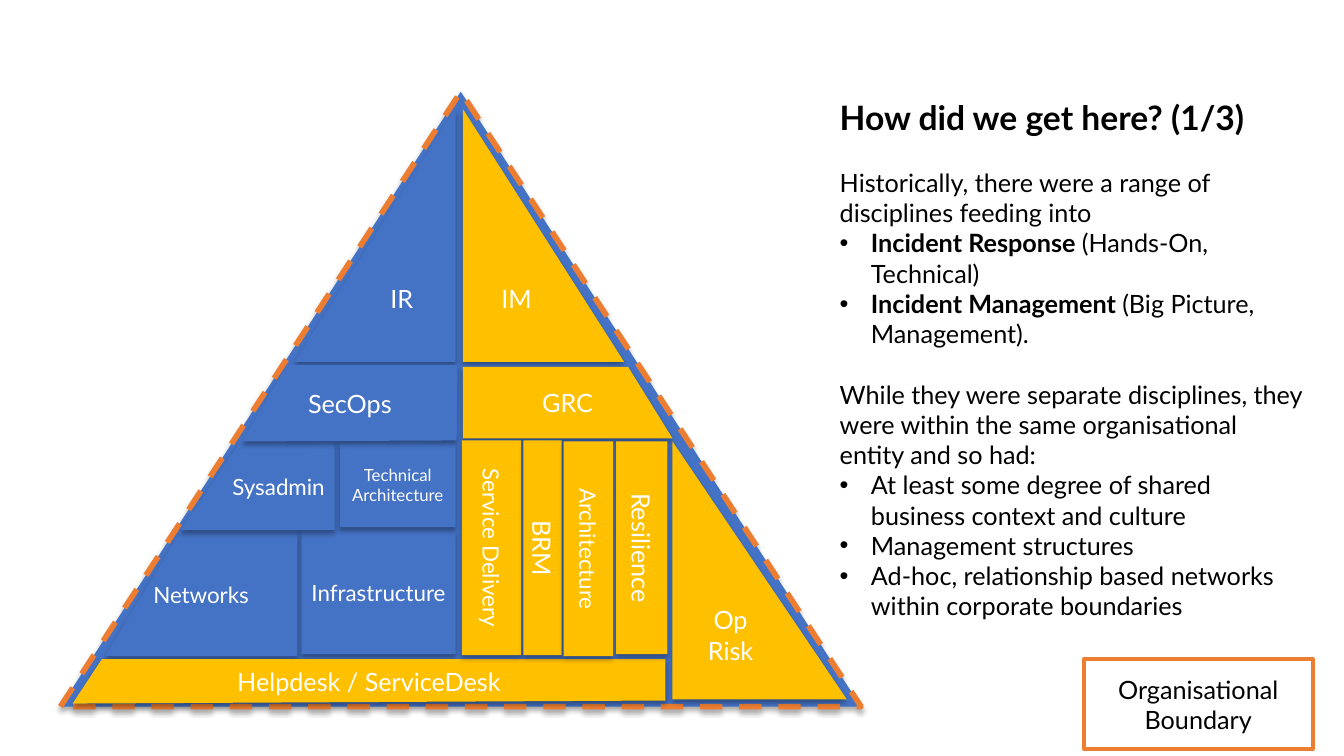
from dataclasses import dataclass, field
from typing import Any

from lxml.etree import SubElement
from pptx import Presentation
from pptx.dml.color import RGBColor
from pptx.enum.dml import MSO_LINE
from pptx.enum.shapes import MSO_SHAPE as Preset
from pptx.enum.text import MSO_ANCHOR as Anchor, MSO_AUTO_SIZE as AutoSize, PP_ALIGN as Align
from pptx.oxml.ns import qn
from pptx.util import Emu, Inches, Pt

CELL = 0.1


@dataclass(frozen=True)
class Theme:
    font: str = "Lato"
    technical: str = "4472C4"
    management: str = "FFC000"
    boundary: str = "ED7D31"
    light: str = "FFFFFF"
    dark: str = "000000"
    title: float = 24
    body: float = 18
    label: float = 16
    small: float = 12
    gap: float = 21.6


THEME = Theme()


@dataclass(frozen=True)
class Box:
    col: float
    row: float
    cols: float
    rows: float

    def emu(self) -> tuple[Emu, ...]:
        return tuple(cells(n) for n in (self.col, self.row, self.cols, self.rows))


@dataclass(frozen=True)
class Discipline:
    label: str
    fill: str
    outline: Box | tuple[tuple[float, float], ...]
    size: float = THEME.body
    preset: Preset = Preset.RECTANGLE
    align: Align = Align.CENTER
    vertical: bool = False
    mirrored: bool = False


@dataclass(frozen=True)
class Passage:
    runs: tuple[tuple[str, bool], ...]
    size: float = THEME.body
    bullet: bool = False
    layout: dict[str, Any] = field(default_factory=dict)


TECH, MGMT = THEME.technical, THEME.management
PYRAMID = Box(6, 9.1, 79.4, 61)
LEGEND = Box(107.5, 65.4, 22.7, 8.9)
STORY = Box(82.3, 9.1, 47.9, 51.2)
GAP = {"space_before": Pt(THEME.gap)}

DISCIPLINES = (
    Discipline("Op Risk", MGMT, Box(66.7, 43.8, 17.3, 25.6), preset=Preset.RIGHT_TRIANGLE),
    Discipline("Infrastructure", TECH, Box(29.9, 52.7, 15.3, 12.2), THEME.label),
    Discipline("Networks", TECH, ((17.8, 52.9), (29.5, 52.9), (29.5, 65.1), (10.4, 65.1)), THEME.label),
    Discipline("Helpdesk / ServiceDesk", MGMT, ((10.1, 65.4), (66, 65.4), (66, 69.5), (7.2, 69.8))),
    Discipline("Sysadmin", TECH, ((23.8, 43.9), (33.2, 43.9), (33.2, 52.6), (17.9, 52.6)),
               THEME.label, align=Align.RIGHT),
    Discipline("Technical\nArchitecture", TECH, Box(33.7, 43.9, 11.5, 8.4), THEME.small),
    Discipline("IR", TECH, Box(29.2, 10.8, 16, 25.1), preset=Preset.RIGHT_TRIANGLE, mirrored=True),
    Discipline("IM", MGMT, Box(45.9, 10.8, 16, 25.1), preset=Preset.RIGHT_TRIANGLE),
    Discipline("GRC", MGMT, ((45.9, 36.4), (62.3, 36.4), (66.7, 43.5), (45.9, 43.5))),
    Discipline("SecOps", TECH, ((28.5, 36.2), (45.4, 36.2), (45.3, 43.7), (24, 43.8))),
    Discipline("Resilience", MGMT, Box(61.1, 43.8, 5.1, 21.1), vertical=True),
    Discipline("Service Delivery", MGMT, Box(45.8, 43.7, 5.9, 21.3), THEME.label, vertical=True),
    Discipline("BRM", MGMT, Box(51.9, 43.7, 3.8, 21.3), vertical=True),
    Discipline("Architecture", MGMT, Box(55.9, 43.8, 4.9, 21.3), THEME.label, vertical=True),
)

PASSAGES = (
    Passage((("How did we get here? (1/3)", True),), THEME.title),
    Passage((("Historically, there were a range of disciplines feeding into", False),), layout=GAP),
    Passage((("Incident Response ", True), ("(Hands-On, Technical)", False)), bullet=True),
    Passage((("Incident Management ", True), ("(Big Picture, Management).", False)), bullet=True),
    Passage((("While they were separate disciplines, they were within the same "
              "organisational entity and so had:", False),), layout=GAP),
    Passage((("At least some degree of shared business context and culture", False),), bullet=True),
    Passage((("Management structures", False),), bullet=True),
    Passage((("Ad-hoc, relationship based networks within corporate boundaries", False),), bullet=True),
)


def cells(count: float) -> Emu:
    return Inches(count * CELL)


def apply(target: Any, values: dict[str, Any]) -> None:
    for name, value in values.items():
        setattr(target, name, value)


def style_run(run: Any, size: float, color: str, bold: bool = False) -> None:
    apply(run.font, {"name": THEME.font, "size": Pt(size), "bold": bold})
    run.font.color.rgb = RGBColor.from_string(color)


def paint(shape: Any, fill: str, line: dict[str, Any] | None = None, shadow: bool = True) -> None:
    shape.fill.solid()
    shape.fill.fore_color.rgb = RGBColor.from_string(fill)
    if line:
        shape.line.color.rgb = RGBColor.from_string(THEME.boundary)
        apply(shape.line, line)
    else:
        shape.line.fill.background()
    shape.shadow.inherit = False
    if shadow:
        effects = shape._element.spPr.find(qn("a:effectLst"))
        outer = SubElement(effects, qn("a:outerShdw"), blurRad=str(Pt(3.5)), dist=str(Pt(2.2)),
                           dir="5400000", rotWithShape="0")
        color = SubElement(outer, qn("a:srgbClr"), val=THEME.dark)
        SubElement(color, qn("a:alpha"), val="32000")


def write_label(shape: Any, label: str, size: float, color: str, align: Align = Align.CENTER) -> None:
    frame = shape.text_frame
    apply(frame, {"text": label, "word_wrap": True, "vertical_anchor": Anchor.MIDDLE})
    for paragraph in frame.paragraphs:
        paragraph.alignment = align
        for run in paragraph.runs:
            style_run(run, size, color)


def draw_discipline(shapes: Any, item: Discipline) -> None:
    if isinstance(item.outline, Box):
        block = shapes.add_shape(item.preset, *item.outline.emu())
    else:
        start, *corners = [(cells(x), cells(y)) for x, y in item.outline]
        builder = shapes.build_freeform(*start)
        builder.add_line_segments(corners, close=True)
        block = builder.convert_to_shape()
    paint(block, item.fill)
    write_label(block, item.label, item.size, THEME.light, item.align)
    if item.vertical:
        block.text_frame._txBody.bodyPr.set("vert", "vert")
    if item.mirrored:
        block._element.spPr.xfrm.set("flipH", "1")


def draw_story(shapes: Any) -> None:
    frame = shapes.add_textbox(*STORY.emu()).text_frame
    apply(frame, {"word_wrap": True, "auto_size": AutoSize.SHAPE_TO_FIT_TEXT})
    for index, passage in enumerate(PASSAGES):
        paragraph = frame.add_paragraph() if index else frame.paragraphs[0]
        apply(paragraph, passage.layout)
        if passage.bullet:
            properties = paragraph._p.get_or_add_pPr()
            properties.set("marL", str(Inches(0.31)))
            properties.set("indent", str(Inches(-0.31)))
            SubElement(properties, qn("a:buFont"), typeface="Arial")
            SubElement(properties, qn("a:buChar"), char="•")
        for text, bold in passage.runs:
            run = paragraph.add_run()
            run.text = text
            style_run(run, passage.size, THEME.dark, bold)


def main() -> None:
    deck = Presentation()
    apply(deck, {"slide_width": Inches(13.33), "slide_height": Inches(7.5)})
    shapes = deck.slides.add_slide(deck.slide_layouts[6]).shapes

    pyramid = shapes.add_shape(Preset.ISOSCELES_TRIANGLE, *PYRAMID.emu())
    paint(pyramid, TECH, {"width": Pt(4), "dash_style": MSO_LINE.DASH})
    for item in DISCIPLINES:
        draw_discipline(shapes, item)

    legend = shapes.add_shape(Preset.RECTANGLE, *LEGEND.emu())
    paint(legend, THEME.light, {"width": Pt(3)}, shadow=False)
    write_label(legend, "Organisational Boundary", THEME.body, THEME.dark)
    draw_story(shapes)
    deck.save("out.pptx")


if __name__ == "__main__":
    main()
